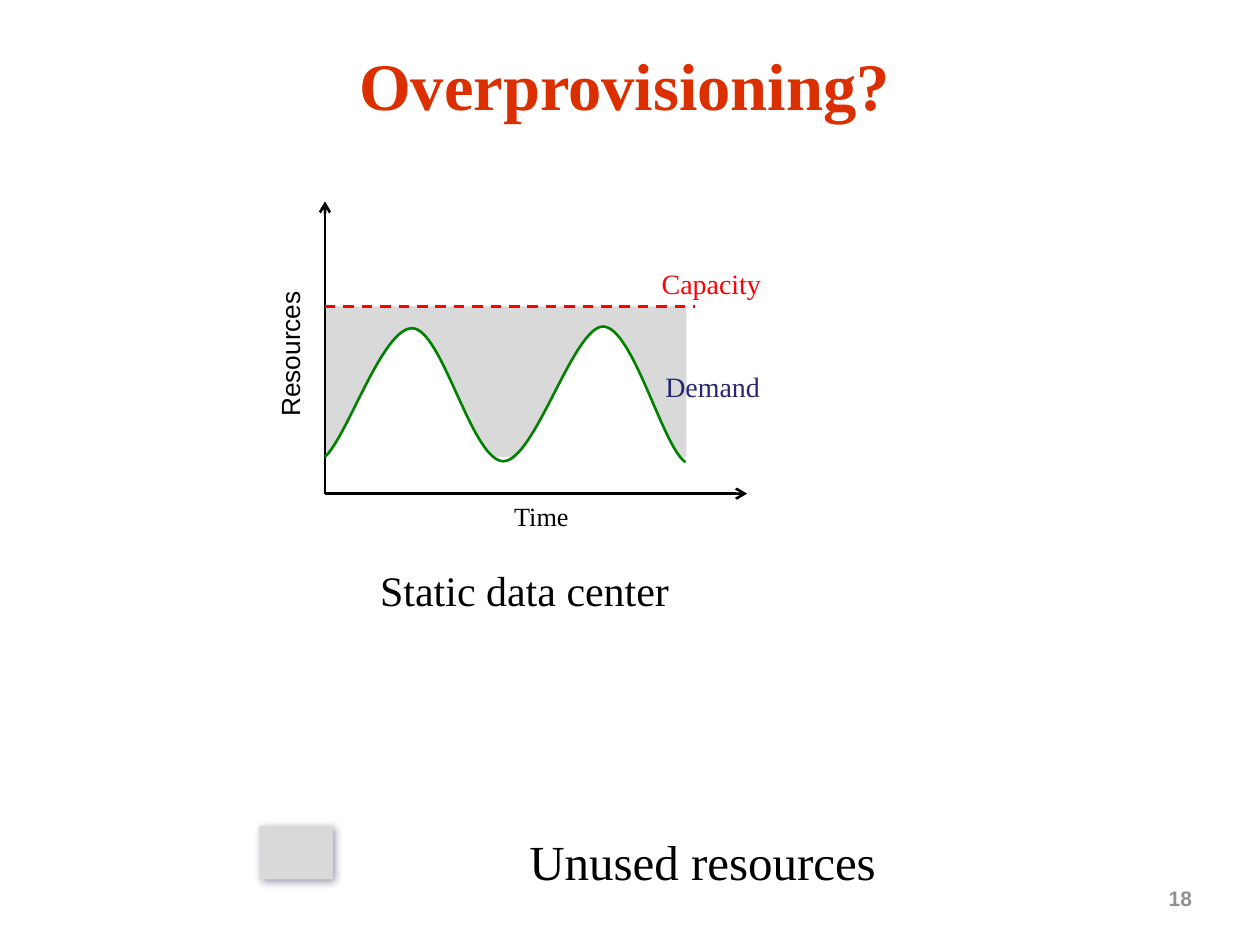
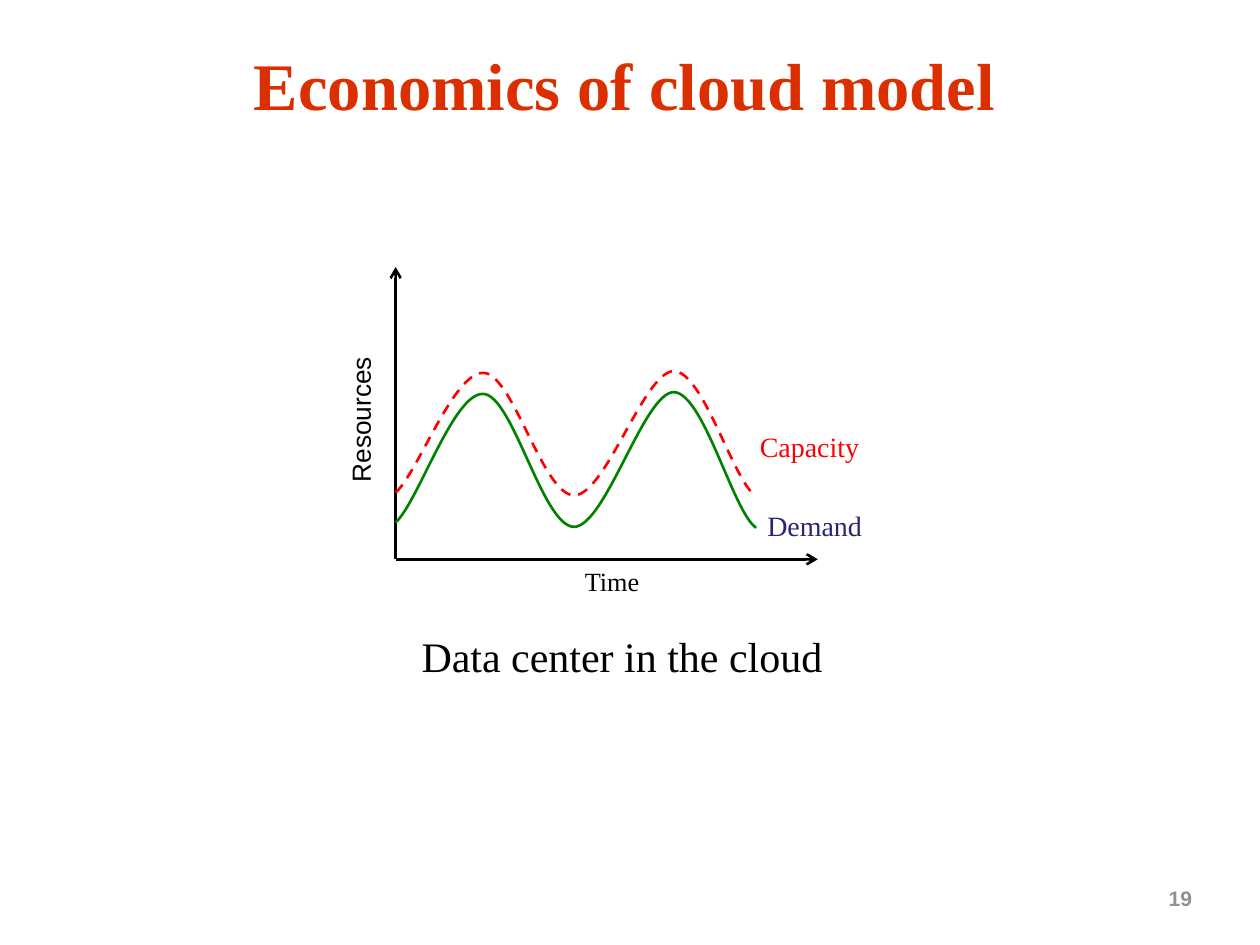
from lxml.etree import SubElement
from pptx import Presentation
from pptx.dml.color import RGBColor
from pptx.enum.dml import MSO_LINE
from pptx.enum.shapes import MSO_CONNECTOR, MSO_SHAPE
from pptx.enum.text import MSO_ANCHOR, MSO_AUTO_SIZE, PP_ALIGN
from pptx.oxml.ns import qn
from pptx.util import Pt

SERIF, SANS = "Times New Roman", "Arial"
THEME = {
    "title": {"name": SERIF, "size": Pt(38), "bold": True, "color": "DC2F00"},
    "caption": {"name": SERIF, "size": Pt(24), "color": "000000"},
    "legend": {"name": SERIF, "size": Pt(28), "color": "000000"},
    "time": {"name": SERIF, "size": Pt(15), "color": "000000"},
    "resources": {"name": SANS, "size": Pt(15), "color": "000000"},
    "demand": {"name": SERIF, "size": Pt(16), "color": "262673"},
    "capacity": {"name": SERIF, "size": Pt(16), "color": "FF0000"},
    "number": {"name": SANS, "size": Pt(12), "bold": True, "color": "919191"},
    "axis_line": "000000",
    "demand_line": "008200",
    "capacity_line": "FF0000",
    "unused_fill": "D9D9D9",
    "paper": "FFFFFF",
    "shadow": "161645",
    "line_width": Pt(1.5),
}
AXIS_HEIGHT, AXIS_LENGTH = 167, 241.2
CURVE_X = [0, 13, 33, 50, 67, 84, 102, 120, 142, 159, 176, 193, 206]
DEMAND_Y = [21, 33, 95, 94.5, 94, 18.5, 18.5, 19, 95.5, 95.5, 95, 26.5, 18]
CAPACITY_Y = [38, 50, 106.5, 106.5, 106.5, 36.5, 36.5, 36.5, 107.5, 107.5, 107, 44, 36]

SLIDES = [
    {
        "title": "Overprovisioning?",
        "origin": (185.7, 282.1),
        "flat_capacity": 107,
        "labels": [
            ("Static data center", "caption", 198.3, 319, 203, 37),
            ("Demand", "demand", 370.2, 207.8, 74, 27),
            ("Capacity", "capacity", 368.5, 149, 76, 27),
            ("Unused resources", "legend", 279.5, 471.5, 244, 41),
        ],
    },
    {
        "title": "Economics of cloud model",
        "origin": (226.1, 319.6),
        "flat_capacity": None,
        "labels": [
            ("Data center in the cloud", "caption", 220, 356.5, 271, 37),
            ("Demand", "demand", 428.5, 287.2, 74, 27),
            ("Capacity", "capacity", 424.6, 242, 76, 27),
        ],
    },
]


def style(font, role):
    for key, value in THEME[role].items():
        if key == "color":
            font.color.rgb = RGBColor.from_string(value)
        else:
            setattr(font, key, value)


def stroke(shape, color, dash=None, arrow=False):
    shape.line.color.rgb = RGBColor.from_string(color)
    shape.line.width = THEME["line_width"]
    if dash:
        shape.line.dash_style = dash
    spPr = shape.element.spPr
    if arrow:
        SubElement(spPr.find(qn("a:ln")), qn("a:tailEnd"), type="arrow")
    if spPr.find(qn("a:effectLst")) is None:
        SubElement(spPr, qn("a:effectLst"))


prs = Presentation()
prs.slide_width, prs.slide_height = Pt(720), Pt(540)

for number, page in enumerate(SLIDES, 18):
    s = prs.slides.add_slide(prs.slide_layouts[5])
    shapes = s.shapes
    x0, y0 = page["origin"]

    title = shapes.title
    place = {"left": Pt(18), "top": Pt(24), "width": Pt(678), "height": Pt(54)}
    for key, value in place.items():
        setattr(title, key, value)
    tf = title.text_frame
    tf.text = page["title"]
    tf.auto_size = MSO_AUTO_SIZE.NONE
    tf.vertical_anchor = MSO_ANCHOR.MIDDLE
    p = tf.paragraphs[0]
    p.alignment, p.line_spacing = PP_ALIGN.CENTER, 0.9
    style(p.runs[0].font, "title")

    capacity = page["flat_capacity"]
    if capacity:
        swatches = [(x0 + 0.5, y0 - capacity, CURVE_X[-1], 86), (148.2, 472, 42, 30.5)]
        for box in swatches:
            sp = shapes.add_shape(MSO_SHAPE.RECTANGLE, *map(Pt, box))
            sp.shadow.inherit = False
            sp.fill.solid()
            sp.fill.fore_color.rgb = RGBColor.from_string(THEME["unused_fill"])
            sp.line.fill.background()
        effects = sp.element.spPr.find(qn("a:effectLst"))
        shadow = SubElement(effects, qn("a:outerShdw"), blurRad=str(Pt(5)),
                            dist=str(Pt(2)), dir="2700000", rotWithShape="0")
        tint = SubElement(shadow, qn("a:srgbClr"), val=THEME["shadow"])
        SubElement(tint, qn("a:alpha"), val="43000")

    lines = [
        (0, AXIS_HEIGHT, "axis_line", None, True, 0),
        (AXIS_LENGTH, 0, "axis_line", None, True, 0),
    ]
    curves = [(DEMAND_Y, "demand_line", None)]
    if capacity:
        lines.append((211.5, 0, "capacity_line", MSO_LINE.DASH, False, capacity))
    else:
        curves.append((CAPACITY_Y, "capacity_line", MSO_LINE.DASH))

    for dx, dy, color, dash, arrow, rise in lines:
        ends = (x0, y0 - rise, x0 + dx, y0 - rise - dy)
        sp = shapes.add_connector(MSO_CONNECTOR.STRAIGHT, *map(Pt, ends))
        stroke(sp, THEME[color], dash, arrow)

    for heights, color, dash in curves:
        knots = [(Pt(x0 + x), Pt(y0 - y)) for x, y in zip(CURVE_X, heights)]
        builder = shapes.build_freeform(*knots[0])
        builder.add_line_segments(knots[1:], close=False)
        sp = builder.convert_to_shape()
        segments = list(sp.element.iter(qn("a:lnTo")))
        outline = segments[0].getparent()
        for i in range(0, len(segments), 3):
            bend = SubElement(outline, qn("a:cubicBezTo"))
            for segment in segments[i:i + 3]:
                bend.append(segment[0])
                outline.remove(segment)
        sp.shadow.inherit = False
        if dash:
            sp.fill.background()
        else:
            sp.fill.solid()
            sp.fill.fore_color.rgb = RGBColor.from_string(THEME["paper"])
        stroke(sp, THEME[color], dash)

    labels = page["labels"] + [
        ("Time", "time", x0 + 100.2, y0, 47, 25),
        ("Resources", "resources", x0 - 32.7, y0 - 119.3, 32.5, 79),
        (f" {number}", "number", 657.4, 502.5, 32.5, 21.5),
    ]
    for text, role, *box in labels:
        sp = shapes.add_textbox(*map(Pt, box))
        tf = sp.text_frame
        tf.word_wrap = False
        p = tf.paragraphs[0]
        p.alignment = PP_ALIGN.LEFT if role == "number" else PP_ALIGN.CENTER
        r = p.add_run()
        r.text = text
        style(r.font, role)
        if role == "resources":
            sp.element.txBody.bodyPr.set("vert", "vert270")

prs.save("out.pptx")
